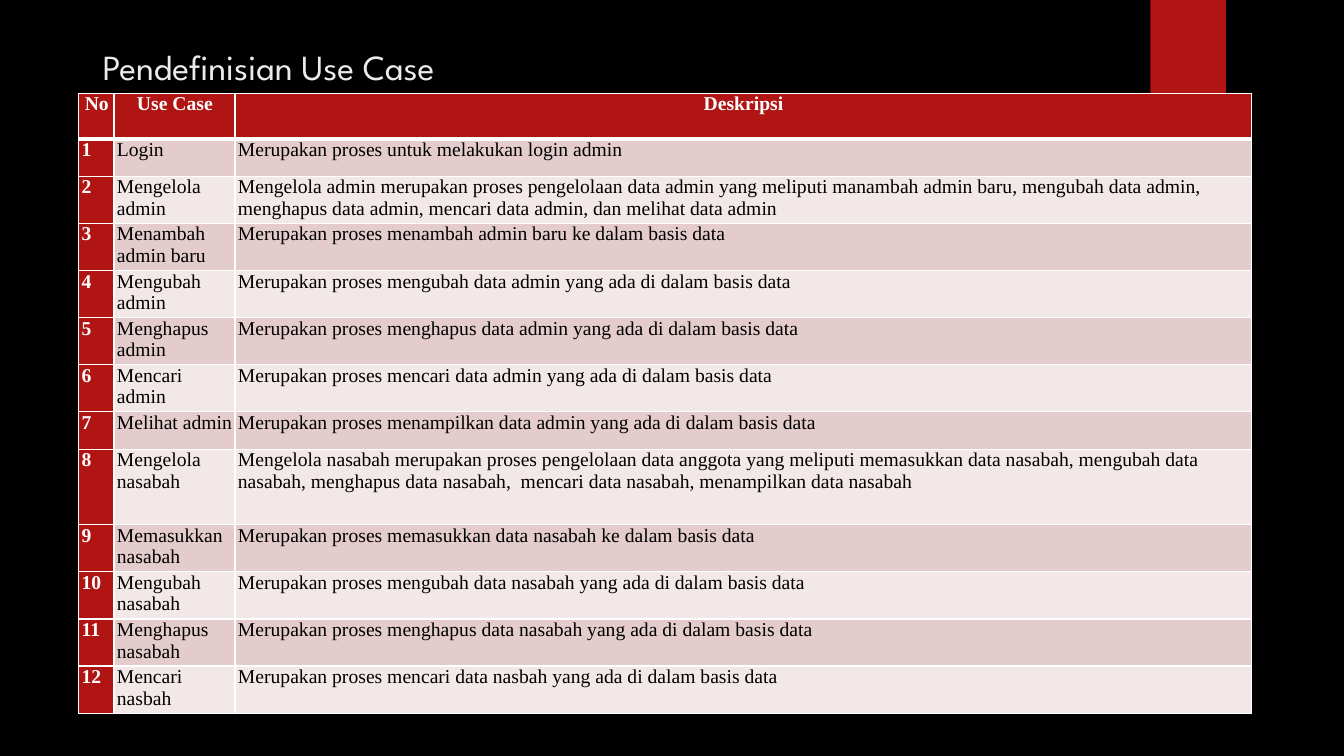
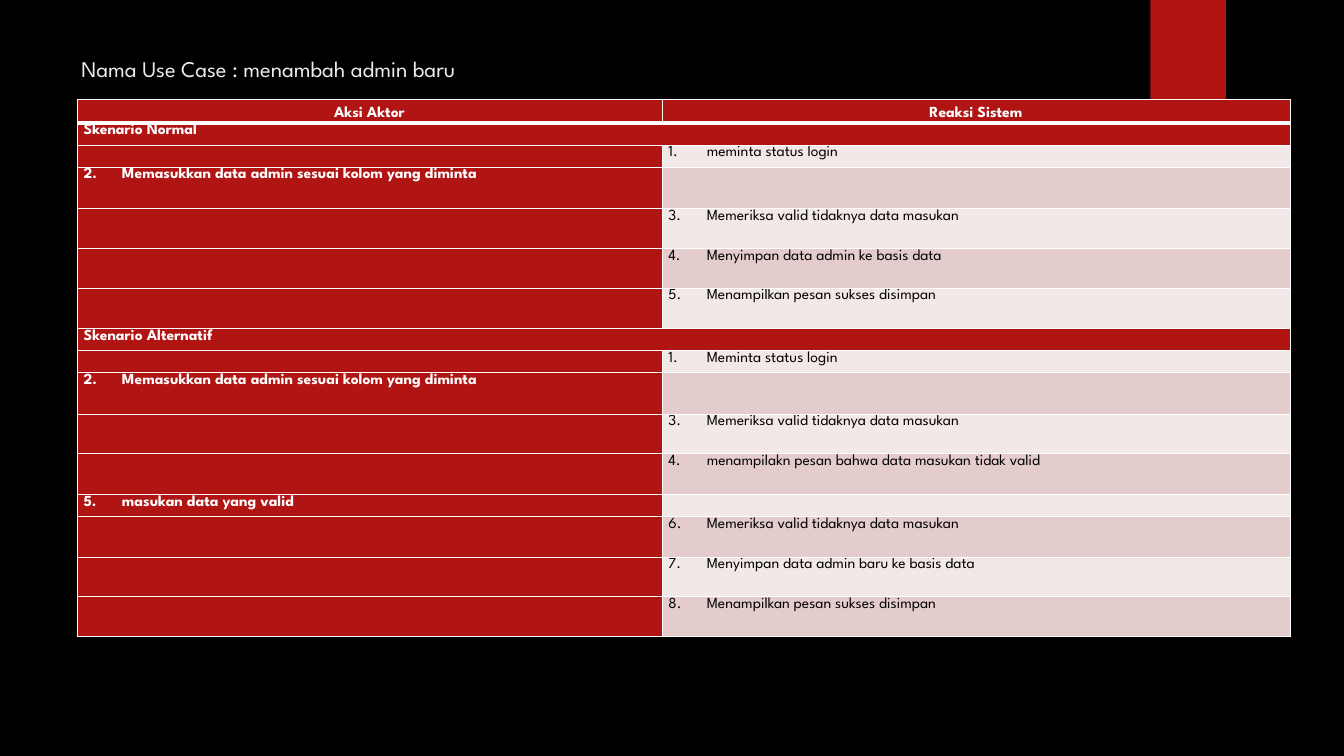
from lxml import etree
from pptx import Presentation
from pptx.dml.color import RGBColor
from pptx.enum.shapes import MSO_SHAPE
from pptx.enum.text import MSO_ANCHOR, PP_ALIGN
from pptx.oxml.ns import qn
from pptx.util import Inches, Pt

RECT = MSO_SHAPE.RECTANGLE
TOP = MSO_ANCHOR.TOP
CENTER = PP_ALIGN.CENTER

BLACK, WHITE, RED = "000000", "FFFFFF", "B01513"
PALE, PINK, CREAM = "EBEBEB", "F2E8E7", "E4CCCC"
SANS, SERIF = "League Spartan", "Times New Roman"

CASES = [
    ("Login", "Merupakan proses untuk melakukan login admin", 0.37),
    ("Mengelola admin",
     "Mengelola admin merupakan proses pengelolaan data admin yang meliputi "
     "manambah admin baru, mengubah data admin, menghapus data admin, "
     "mencari data admin, dan melihat data admin", 0.46),
    ("Menambah admin baru",
     "Merupakan proses menambah admin baru ke dalam basis data", 0.46),
    ("Mengubah admin",
     "Merupakan proses mengubah data admin yang ada di dalam basis data", 0.46),
    ("Menghapus admin",
     "Merupakan proses menghapus data admin yang ada di dalam basis data", 0.46),
    ("Mencari admin",
     "Merupakan proses mencari data admin yang ada di dalam basis data", 0.46),
    ("Melihat admin",
     "Merupakan proses menampilkan data admin yang ada di dalam basis data", 0.37),
    ("Mengelola nasabah",
     "Mengelola nasabah merupakan proses pengelolaan data anggota yang meliputi "
     "memasukkan data nasabah, mengubah data nasabah, menghapus data nasabah,  "
     "mencari data nasabah, menampilkan data nasabah", 0.75),
    ("Memasukkan nasabah",
     "Merupakan proses memasukkan data nasabah ke dalam basis data", 0.46),
    ("Mengubah nasabah",
     "Merupakan proses mengubah data nasabah yang ada di dalam basis data", 0.46),
    ("Menghapus nasabah",
     "Merupakan proses menghapus data nasabah yang ada di dalam basis data", 0.46),
    ("Mencari nasbah",
     "Merupakan proses mencari data nasbah yang ada di dalam basis data", 0.46),
]

ACTOR, SYSTEM = 0, 1
SCENES = [
    ("Skenario Normal", [
        (SYSTEM, "meminta status login", 0.22),
        (ACTOR, "Memasukkan data admin sesuai kolom yang diminta", 0.41),
        (SYSTEM, "Memeriksa valid tidaknya data masukan", 0.4),
        (SYSTEM, "Menyimpan data admin ke basis data", 0.39),
        (SYSTEM, "Menampilkan pesan sukses disimpan", 0.4),
    ]),
    ("Skenario Alternatif", [
        (SYSTEM, "Meminta status login", 0.22),
        (ACTOR, "Memasukkan data admin sesuai kolom yang diminta", 0.41),
        (SYSTEM, "Memeriksa valid tidaknya data masukan", 0.39),
        (SYSTEM, "menampilakn pesan bahwa data masukan tidak valid", 0.41),
        (ACTOR, "masukan data yang valid", 0.22),
        (SYSTEM, "Memeriksa valid tidaknya data masukan", 0.4),
        (SYSTEM, "Menyimpan data admin baru ke basis data", 0.39),
        (SYSTEM, "Menampilkan pesan sukses disimpan", 0.4),
    ]),
]


def color(code):
    return RGBColor.from_string(code)


def paint(fill, code):
    fill.solid()
    fill.fore_color.rgb = color(code)


def write(para, text, face, size, code, bold=False):
    run = para.add_run()
    run.text = text
    font = run.font
    font.name, font.size, font.bold = face, Pt(size), bold
    font.color.rgb = color(code)


def start(deck, title, left, top, size):
    """Add a slide with the shared backdrop, red tab and title."""
    slide = deck.slides.add_slide(deck.slide_layouts[6])
    paint(slide.background.fill, BLACK)
    tab = slide.shapes.add_shape(
        RECT, Inches(11.41), 0, Inches(0.75), Inches(1.25))
    tab.shadow.inherit = False
    paint(tab.fill, RED)
    tab.line.fill.background()
    box = slide.shapes.add_textbox(
        Inches(left), Inches(top), Inches(10.3), Inches(0.5))
    frame = box.text_frame
    frame.word_wrap = True
    frame.vertical_anchor = TOP
    write(frame.paragraphs[0], title, SANS, size, PALE)
    return slide


def edge(cell, side, width):
    props = cell._tc.get_or_add_tcPr()
    line = etree.SubElement(props, qn("a:ln" + side), w=str(Pt(width)))
    fill = etree.SubElement(line, qn("a:solidFill"))
    etree.SubElement(fill, qn("a:srgbClr"), val=WHITE)


def number(para, value):
    """Give the paragraph a hanging automatic number."""
    props = para._p.get_or_add_pPr()
    indent = Inches(0.38)
    props.set("marL", str(indent))
    props.set("indent", str(-indent))
    etree.SubElement(props, qn("a:buFont"), typeface="+mj-lt")
    etree.SubElement(props, qn("a:buAutoNum"),
                     type="arabicPeriod", startAt=str(value))


def close(para, face, size):
    """Set the size and font of the paragraph mark."""
    mark = para._p.get_or_add_endParaRPr()
    mark.set("sz", str(size * 100))
    etree.SubElement(mark, qn("a:latin"), typeface=face)


def fill_cell(cell, text, row, col, style, wide, step):
    face, size, pad, lead = style
    head = row == 0
    strong = head or col == 0 or wide
    cell.margin_left, cell.margin_right = map(Inches, pad)
    cell.margin_top = cell.margin_bottom = 0
    cell.vertical_anchor = TOP
    for side in "LRTB":
        thick = (head and side == "B") or (row == 1 and side == "T")
        edge(cell, side, 3 if thick else 1)
    paint(cell.fill, RED if strong else (CREAM if row % 2 else PINK))
    para = cell.text_frame.paragraphs[0]
    para.line_spacing = Pt(14.7) if head else lead
    para.space_before = para.space_after = Pt(0)
    if head:
        para.alignment = CENTER
    if step and text:
        number(para, step)
    if text:
        write(para, text, face, size, WHITE if strong else BLACK, strong)
    close(para, face, size)


def add_grid(slide, left, top, cols, rows, style):
    """Draw rows of (height, texts, step); a row with one text spans all."""
    table = slide.shapes.add_table(
        len(rows), len(cols), Inches(left), Inches(top),
        Inches(sum(cols)), Inches(sum(row[0] for row in rows))).table
    table.first_row = table.horz_banding = False
    for col, width in enumerate(cols):
        table.columns[col].width = Inches(width)
    for row, (height, texts, step) in enumerate(rows):
        table.rows[row].height = Inches(height)
        wide = len(texts) == 1
        if wide:
            table.cell(row, 0).merge(table.cell(row, len(cols) - 1))
        for col in range(len(cols)):
            text = texts[col] if col < len(texts) else ""
            fill_cell(table.cell(row, col), text, row, col,
                      style, wide, step)


def case_rows():
    rows = [(0.45, ["No", "Use Case", "Deskripsi"], None)]
    for num, (name, text, height) in enumerate(CASES, 1):
        rows.append((height, [str(num), name, text], None))
    return rows


def scene_rows():
    rows = [(0.23, ["Aksi Aktor", "Reaksi Sistem"], None)]
    for name, steps in SCENES:
        rows.append((0.22, [name], None))
        for num, (side, text, height) in enumerate(steps, 1):
            texts = ["", ""]
            texts[side] = text
            rows.append((height, texts, num))
    return rows


def main():
    deck = Presentation()
    deck.slide_width, deck.slide_height = Inches(13.33), Inches(7.5)
    slide = start(deck, "Pendefinisian Use Case", 0.92, 0.4, 25.2)
    add_grid(slide, 0.78, 0.93, [0.35, 1.2, 10.08], case_rows(),
             (SERIF, 14, (0.03, 0.02), 1.0))
    slide = start(deck, "Nama Use Case : menambah admin baru", 0.71, 0.5, 16)
    add_grid(slide, 0.77, 0.99, [5.8, 6.23], scene_rows(),
             (SANS, 11, (0.06, 0.07), 1.07))
    deck.save("out.pptx")


if __name__ == "__main__":
    main()
